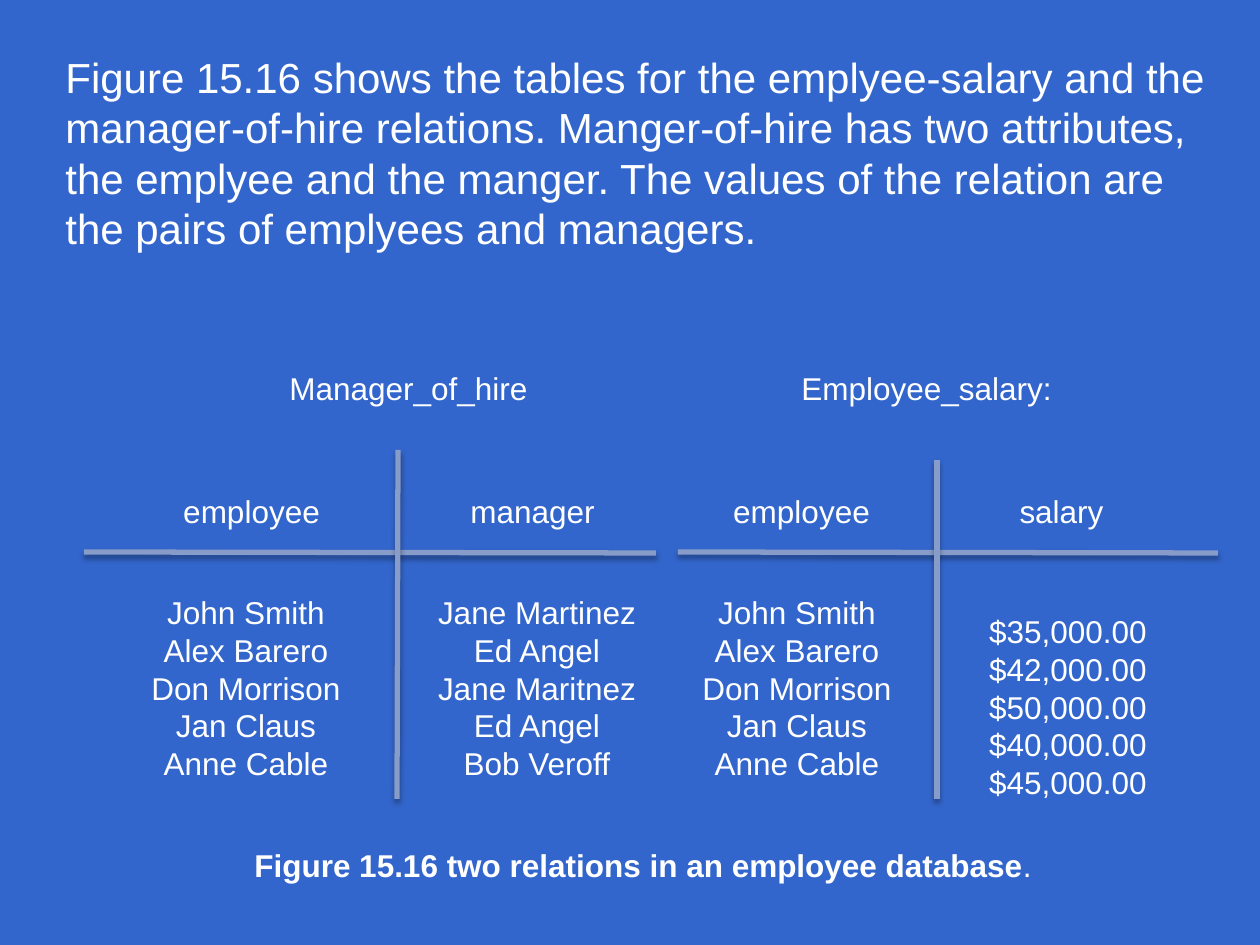
from dataclasses import dataclass

from lxml.etree import SubElement
from pptx import Presentation
from pptx.dml.color import RGBColor
from pptx.enum.shapes import MSO_CONNECTOR as Link
from pptx.enum.text import MSO_ANCHOR as Anchor, PP_ALIGN as Align
from pptx.oxml.ns import qn
from pptx.util import Emu, Pt

PPI = 126


@dataclass(frozen=True)
class Theme:
    back: RGBColor = RGBColor(0x33, 0x66, 0xCC)
    ink: RGBColor = RGBColor(0xFF, 0xFF, 0xFF)
    rule: RGBColor = RGBColor(0x87, 0x9C, 0xC8)
    shade: str = "000000"
    font: str = "Arial"
    lead: Pt = Pt(24)
    body: Pt = Pt(18)
    line: Pt = Pt(3)


@dataclass(frozen=True)
class Box:
    left: int
    top: int
    width: int
    height: int


@dataclass(frozen=True)
class Column:
    head: str
    head_x: int
    list_x: int
    rows: tuple[str, ...]
    tall: int = 229


@dataclass(frozen=True)
class Rule:
    x1: int
    y1: int
    x2: int
    y2: int


THEME = Theme()
STAFF = ("John Smith", "Alex Barero", "Don Morrison", "Jan Claus", "Anne Cable")
CHIEFS = ("Jane Martinez", "Ed Angel", "Jane Maritnez", "Ed Angel", "Bob Veroff")
PAY = ("$35,000.00", "$42,000.00", "$50,000.00", "$40,000.00", "$45,000.00")

INTRO = (
    "Figure 15.16 shows the tables for the emplyee-salary and the "
    "manager-of-hire relations. Manger-of-hire has two attributes, "
    "the emplyee and the manger. The values of the relation are "
    "the pairs of emplyees and managers."
)
NAMES = {"Manager_of_hire": 236, "Employee_salary:": 754}
COLUMNS = (
    Column("employee", 149, 127, STAFF),
    Column("manager", 430, 418, CHIEFS),
    Column("employee", 699, 678, STAFF),
    Column("salary", 959, 949, PAY, tall=267),
)
RULES = (
    Rule(84, 552, 656, 553),
    Rule(678, 552, 1218, 553),
    Rule(398, 450, 397, 799),
    Rule(937, 460, 937, 799),
)


def px(n: int) -> Emu:
    return Emu(round(n * 914400 / PPI))


def style(item, **values) -> None:
    for name, value in values.items():
        setattr(item, name, value)


def write(para, text: str, size: Pt, bold: bool = False) -> None:
    run = para.add_run()
    run.text = text
    style(run.font, name=THEME.font, size=size, bold=bold)
    run.font.color.rgb = THEME.ink


def frame(slide, box: Box, wrap: bool = True, anchor=Anchor.MIDDLE):
    shape = slide.shapes.add_textbox(
        px(box.left), px(box.top), px(box.width), px(box.height)
    )
    style(shape.text_frame, word_wrap=wrap, vertical_anchor=anchor)
    return shape.text_frame


def label(slide, box: Box, rows: tuple[str, ...], size: Pt = THEME.body,
          align=Align.CENTER) -> None:
    """Write one paragraph per row in a box anchored at its middle."""
    text = frame(slide, box)
    for i, row in enumerate(rows):
        para = text.add_paragraph() if i else text.paragraphs[0]
        para.alignment = align
        write(para, row, size)


def draw(slide, rule: Rule) -> None:
    """Draw a thick line with a soft shadow below it."""
    line = slide.shapes.add_connector(
        Link.STRAIGHT, px(rule.x1), px(rule.y1), px(rule.x2), px(rule.y2)
    )
    line.line.width = THEME.line
    line.line.color.rgb = THEME.rule
    effects = SubElement(line._element.spPr, qn("a:effectLst"))
    cast = SubElement(effects, qn("a:outerShdw"), blurRad=str(Pt(3.1)),
                      dist=str(Pt(1.8)), dir="5400000", rotWithShape="0")
    tint = SubElement(cast, qn("a:srgbClr"), val=THEME.shade)
    SubElement(tint, qn("a:alpha"), val="35000")


def main() -> None:
    deck = Presentation()
    style(deck, slide_width=px(1260), slide_height=px(945))
    slide = deck.slides.add_slide(deck.slide_layouts[6])
    slide.background.fill.solid()
    slide.background.fill.fore_color.rgb = THEME.back

    label(slide, Box(53, 73, 1177, 158), (INTRO,), THEME.lead, Align.LEFT)
    for name, left in NAMES.items():
        label(slide, Box(left, 357, 345, 62), (name,))
    for col in COLUMNS:
        label(slide, Box(col.head_x, 480, 205, 62), (col.head,))
        label(slide, Box(col.list_x, 573, 238, col.tall), col.rows)
    for rule in RULES:
        draw(slide, rule)

    para = frame(slide, Box(242, 840, 810, 50), False, Anchor.TOP).paragraphs[0]
    write(para, "Figure 15.16 two relations in an employee database",
          THEME.body, bold=True)
    write(para, ".", THEME.body)
    deck.save("out.pptx")


if __name__ == "__main__":
    main()
